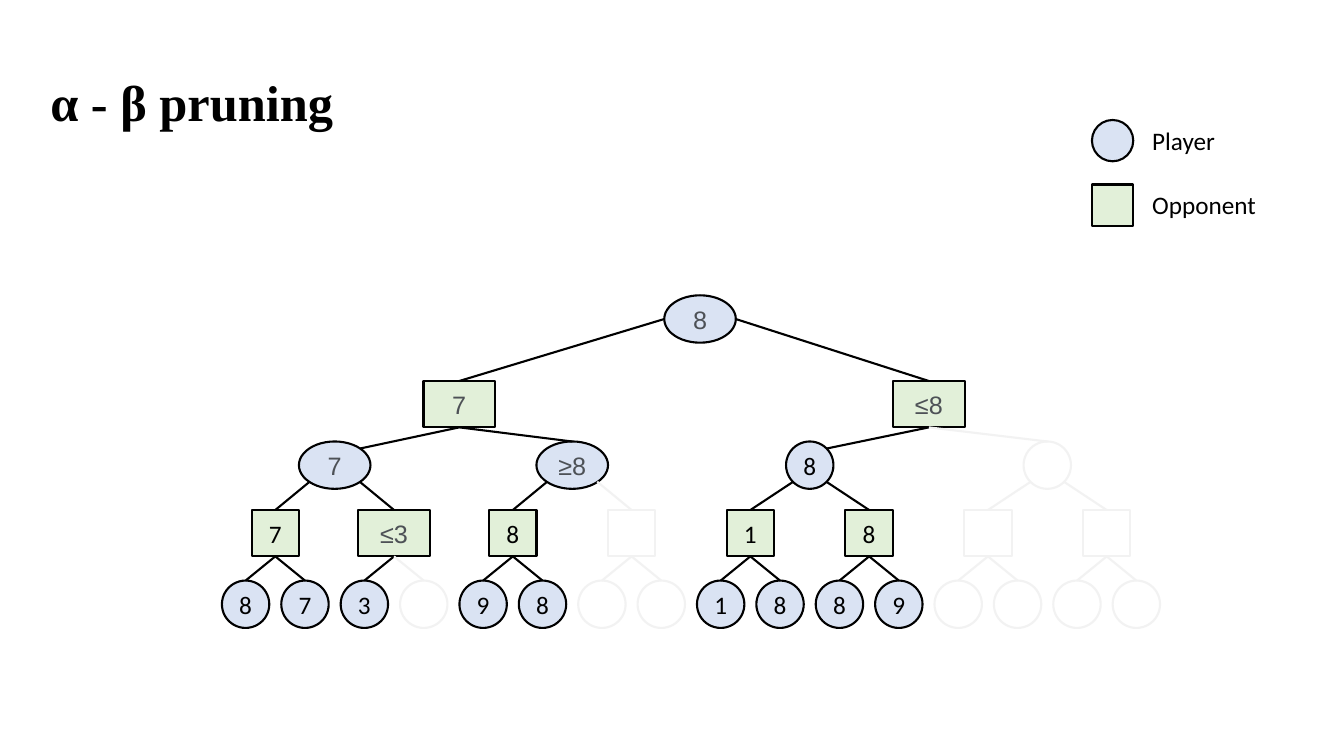
import pptx
import pptx.util
import pptx.dml.color
import pptx.enum.shapes
import pptx.enum.text
import pptx.oxml.ns
import lxml.etree

PX = 9144  # one hundredth of an inch
COLORS = {"ink": "000000", "gray": "4D5156", "cut": "F2F2F2",
          "oval": "DAE3F3", "rect": "E2F0D9"}
FORMS = {"oval": pptx.enum.shapes.MSO_SHAPE.OVAL,
         "rect": pptx.enum.shapes.MSO_SHAPE.RECTANGLE}
ANCHOR = pptx.enum.text.MSO_ANCHOR
DIAG = 0.35  # offset of an oval's diagonal point, as a share of its size

# form, top, height, labels, kinds: w = wide bound, n = plain value, x = pruned
ROWS = [
    ("oval", 293, 47, ["8"], "w"),
    ("rect", 378, 46, ["7", "≤8"], "ww"),
    ("oval", 438, 47, ["7", "≥8", "8", ""], "wwnx"),
    ("rect", 506, 46, ["7", "≤3", "8", "", "1", "8", "", ""], "nwnxnnxx"),
    ("oval", 576, 47, ["8", "7", "3", "", "9", "8", "", "",
                       "1", "8", "8", "9", "", "", "", ""],
     "nnnxnnxxnnnnxxxx"),
]
SIDES = [(-0.5, 0), (0.5, 0)]
BASE = [(0, 0.5), (0, 0.5)]
TOPS = [(0, -0.5), (0, -0.5)]
# start points on the parent and end points on the left and right child
LINKS = [
    (SIDES, TOPS),
    (BASE, [(DIAG, -DIAG), (0, -0.5)]),
    ([(-DIAG, DIAG), (DIAG, DIAG)], TOPS),
    (BASE, TOPS),
]


def emu(px):
    return round(px * PX)


def color(name):
    return pptx.dml.color.RGBColor.from_string(COLORS[name])


def add_run(para, text, size, face, ink, bold=False):
    run = para.add_run()
    run.text = text
    font = run.font
    font.size = pptx.util.Pt(size)
    font.name = face
    font.bold = bold
    font.color.rgb = color(ink)


def add_form(slide, form, x, y, w, h, cut=False):
    shape = slide.shapes.add_shape(FORMS[form], emu(x), emu(y), emu(w), emu(h))
    shape.shadow.inherit = False
    if cut:
        shape.fill.background()
    else:
        shape.fill.solid()
        shape.fill.fore_color.rgb = color(form)
    shape.line.color.rgb = color("cut" if cut else "ink")
    shape.line.width = pptx.util.Pt(1.5)
    return shape


def add_node(slide, form, mid, top, high, label, kind):
    """Draw one node and return its centre, size and kind."""
    wide = 71 if kind == "w" else 47
    shape = add_form(slide, form, mid - wide / 2, top, wide, high, kind == "x")
    if label:
        frame = shape.text_frame
        frame.word_wrap = False
        frame.vertical_anchor = ANCHOR.MIDDLE
        para = frame.paragraphs[0]
        para.alignment = pptx.enum.text.PP_ALIGN.CENTER
        face, ink = ("Arial", "gray") if kind == "w" else ("Calibri", "ink")
        add_run(para, label, 18, face, ink)
    return mid, top + high / 2, wide, high, kind


def point(node, spot):
    x, y, w, h, _ = node
    return emu(x + spot[0] * w), emu(y + spot[1] * h)


def add_edge(slide, start, end, ink):
    line = slide.shapes.add_connector(
        pptx.enum.shapes.MSO_CONNECTOR.STRAIGHT, *start, *end)
    line.line.color.rgb = color(ink)
    line.line.width = pptx.util.Pt(1.5)
    lxml.etree.SubElement(line._element.spPr, pptx.oxml.ns.qn("a:effectLst"))


def add_text(slide, x, y, w, h, text, size, face, bold=False, wrap=False):
    box = slide.shapes.add_textbox(emu(x), emu(y), emu(w), emu(h))
    frame = box.text_frame
    frame.word_wrap = wrap
    frame.vertical_anchor = ANCHOR.BOTTOM
    add_run(frame.paragraphs[0], text, size, face, "ink", bold)


def find_mids():
    """Return node centres per row: leaves evenly spaced, parents between."""
    leaves = [243.6 + 58.9 * i for i in range(16)]
    rows = [leaves]
    for _ in range(2):
        low = rows[0]
        rows.insert(0, [(a + b) / 2 for a, b in zip(low[::2], low[1::2])])
    return [[694.3], [455.5, 921.3]] + rows


def add_tree(slide):
    levels = []
    for (form, top, high, labels, kinds), mids in zip(ROWS, find_mids()):
        levels.append([add_node(slide, form, mid, top, high, label, kind)
                       for mid, label, kind in zip(mids, labels, kinds)])
    for (starts, ends), upper, lower in zip(LINKS, levels, levels[1:]):
        for i, child in enumerate(lower):
            side = i % 2
            add_edge(slide, point(upper[i // 2], starts[side]),
                     point(child, ends[side]),
                     "cut" if child[-1] == "x" else "ink")


def add_key(slide):
    items = [("oval", "Player", 83), ("rect", "Opponent", 124)]
    for i, (form, name, wide) in enumerate(items):
        y = 119 + 64 * i
        add_form(slide, form, 1083, y, 41, 41)
        add_text(slide, 1133, y, wide, 40, name, 18, "Calibri")


def main():
    deck = pptx.Presentation()
    deck.slide_width = emu(1333)
    deck.slide_height = emu(750)
    slide = deck.slides.add_slide(deck.slide_layouts[6])
    add_text(slide, 40, 64, 1251, 71, "α - β pruning", 36,
             "Times New Roman", bold=True, wrap=True)
    add_tree(slide)
    add_key(slide)
    deck.save("out.pptx")


if __name__ == "__main__":
    main()
